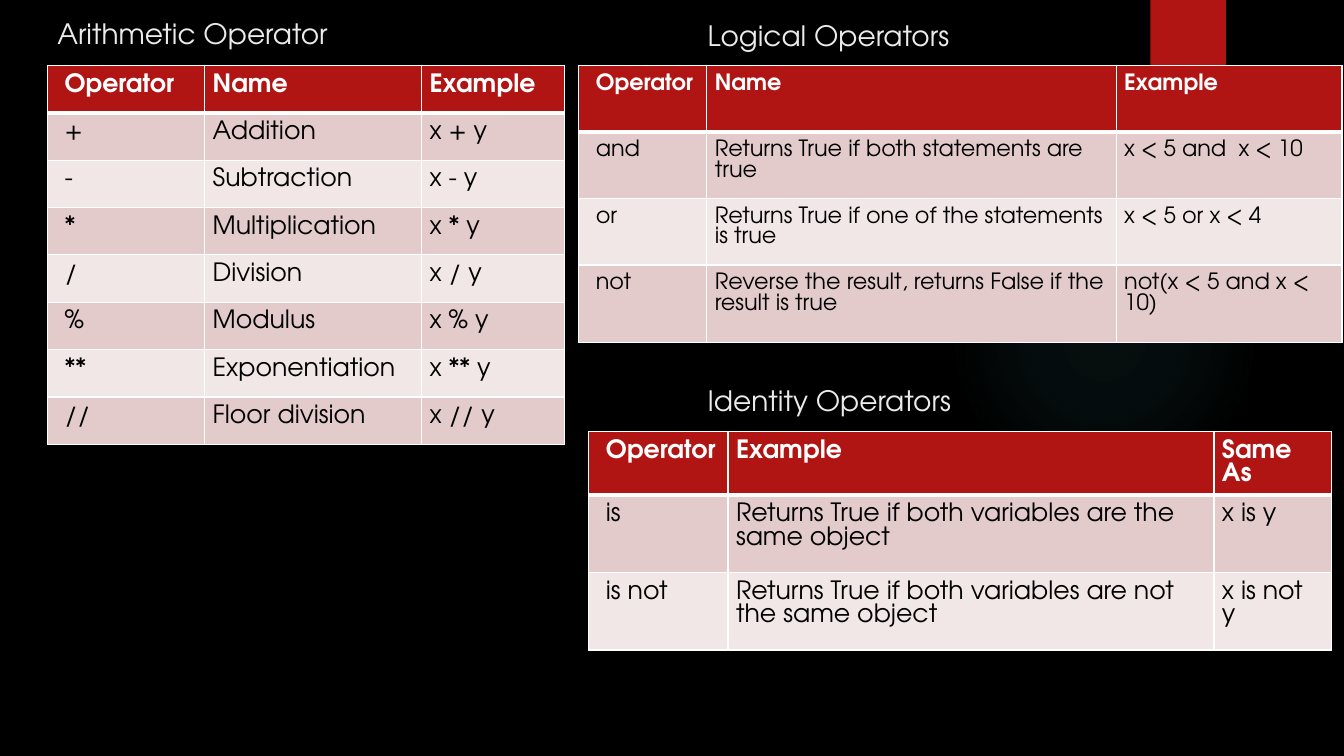
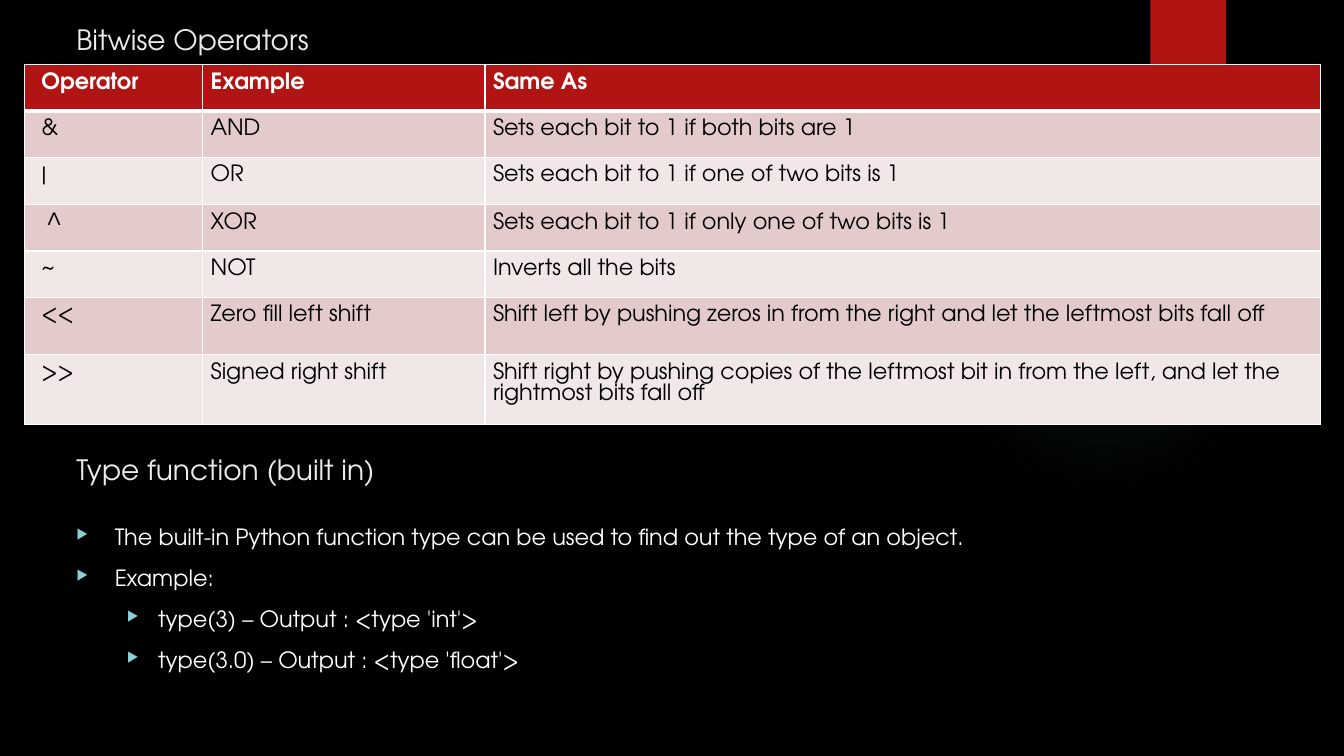
from dataclasses import dataclass

from pptx import Presentation
from pptx.dml.color import RGBColor
from pptx.enum.shapes import MSO_SHAPE as Kind
from pptx.enum.text import MSO_ANCHOR as Anchor
from pptx.oxml import parse_xml
from pptx.oxml.ns import nsdecls, qn
from pptx.util import Emu, Pt

# Shared look
FONT = "TeX Gyre Adventor"
BLACK, WHITE, RED = "000000", "FFFFFF", "B01513"
PALE, TEAL, MINT = "EBEBEB", "50B9C1", "8ACFD6"
BANDS = ("E3CBCB", "F2E7E7")


def px(count: int) -> Emu:
    """100 px make one inch."""
    return Emu(count * 9144)


def hue(code: str) -> RGBColor:
    return RGBColor.from_string(code)


@dataclass
class Label:
    text: str
    left: int
    top: int
    width: int
    height: int


@dataclass
class Grid:
    left: int
    top: int
    size: int
    cols: list[int]
    rows: list[int]
    cells: list[tuple[str, ...]]


@dataclass
class Point:
    text: str
    indent: int
    hang: int
    level: int = 0


# Slide content
SUMS = Grid(47, 65, 18, [156, 215, 142], [47] * 8, [
    ("Operator", "Name", "Example"),
    ("+", "Addition", "x + y"),
    ("-", "Subtraction", "x - y"),
    ("*", "Multiplication", "x * y"),
    ("/", "Division", "x / y"),
    ("%", "Modulus", "x % y"),
    ("**", "Exponentiation", "x ** y"),
    ("//", "Floor division", "x // y"),
])
LOGIC = Grid(574, 65, 16, [127, 406, 224], [66, 66, 66, 77], [
    ("Operator", "Name", "Example"),
    ("and", "Returns True if both statements are true", "x < 5 and  x < 10"),
    ("or", "Returns True if one of the statements is true", "x < 5 or x < 4"),
    ("not", "Reverse the result, returns False if the result is true",
     "not(x < 5 and x < 10)"),
])
SAME = Grid(584, 428, 18, [138, 482, 117], [63, 77, 77], [
    ("Operator", "Example", "Same As"),
    ("is", "Returns True if both variables are the same object", "x is y"),
    ("is not", "Returns True if both variables are not the same object",
     "x is not y"),
])
BITS = Grid(24, 64, 16, [177, 280, 829], [46, 46, 47, 46, 46, 57, 58], [
    ("Operator", "Example", "Same As"),
    ("&", "AND", "Sets each bit to 1 if both bits are 1"),
    ("|", "OR", "Sets each bit to 1 if one of two bits is 1"),
    (" ^", "XOR", "Sets each bit to 1 if only one of two bits is 1"),
    ("~", "NOT", "Inverts all the bits"),
    ("<<", "Zero fill left shift",
     "Shift left by pushing zeros in from the right and let the leftmost "
     "bits fall off"),
    (">>", "Signed right shift",
     "Shift right by pushing copies of the leftmost bit in from the left, "
     "and let the rightmost bits fall off"),
])
POINTS = [
    Point("The built-in Python function type can be used to find out the "
          "type of an object.", 38, 38),
    Point("Example:", 38, 38),
    Point("type(3) – Output : <type 'int'>", 81, 31, 1),
    Point("type(3.0) – Output : <type 'float'>", 81, 31, 1),
]
PAGES = [
    ([Label("Arithmetic Operator", 47, 11, 320, 46),
      Label("Logical Operators", 692, 13, 274, 52),
      Label("Identity Operators", 692, 376, 276, 42)],
     [SUMS, LOGIC, SAME], []),
    ([Label("Bitwise Operators", 66, 17, 257, 46),
      Label("Type function (built in)", 66, 444, 321, 49)],
     [BITS], POINTS),
]


# Text
def write(para, text: str, size: int, color: str, bold: bool = False) -> None:
    run = para.add_run()
    run.text = text
    style = {"name": FONT, "size": Pt(size), "bold": bold}
    for key, value in style.items():
        setattr(run.font, key, value)
    run.font.color.rgb = hue(color)


def frame(slide, left: int, top: int, width: int, height: int):
    box = slide.shapes.add_textbox(px(left), px(top), px(width), px(height))
    style = {"word_wrap": True, "vertical_anchor": Anchor.TOP}
    for key, value in style.items():
        setattr(box.text_frame, key, value)
    return box.text_frame


def title(slide, label: Label) -> None:
    body = frame(slide, label.left, label.top, label.width, label.height)
    write(body.paragraphs[0], label.text, 20, PALE)


def bullets(slide, points: list[Point]) -> None:
    body = frame(slide, 66, 514, 978, 165)
    for num, point in enumerate(points):
        para = body.add_paragraph() if num else body.paragraphs[0]
        para.level = point.level
        para.space_before = Pt(10 if num else 0)
        write(para, point.text, 16, WHITE)
        props = para._p.get_or_add_pPr()
        props.set("marL", str(px(point.indent)))
        props.set("indent", str(-px(point.hang)))
        for part in (f'<a:buClr {nsdecls("a")}><a:srgbClr val="{MINT}"/></a:buClr>',
                     f'<a:buSzPct {nsdecls("a")} val="60000"/>',
                     f'<a:buChar {nsdecls("a")} char="▶"/>'):
            props.append(parse_xml(part))


# Tables
def border(cell, row: int) -> None:
    props = cell._tc.get_or_add_tcPr()
    widths = {"L": 1, "R": 1, "T": 3 if row == 1 else 1, "B": 1 if row else 3}
    for spot, (side, width) in enumerate(widths.items()):
        props.insert(spot, parse_xml(
            f'<a:ln{side} {nsdecls("a")} w="{Pt(width)}"><a:solidFill>'
            f'<a:srgbClr val="{WHITE}"/></a:solidFill></a:ln{side}>'))


def table(slide, grid: Grid) -> None:
    item = slide.shapes.add_table(
        len(grid.rows), len(grid.cols), px(grid.left), px(grid.top),
        px(sum(grid.cols)), px(sum(grid.rows))).table
    for col, width in zip(item.columns, grid.cols):
        col.width = px(width)
    for line, height in zip(item.rows, grid.rows):
        line.height = px(height)
    for row, texts in enumerate(grid.cells):
        for col, text in enumerate(texts):
            cell = item.cell(row, col)
            style = {"margin_left": px(8 if col else 17), "margin_top": px(8),
                     "margin_right": px(9), "margin_bottom": px(8)}
            for key, value in style.items():
                setattr(cell, key, value)
            cell.fill.solid()
            cell.fill.fore_color.rgb = hue(BANDS[(row - 1) % 2] if row else RED)
            border(cell, row)
            write(cell.text_frame.paragraphs[0], text, grid.size,
                  BLACK if row else WHITE, not row)


# Backdrop: soft glow and red tab
def shape(slide, kind: Kind, left: int, top: int, width: int, height: int):
    item = slide.shapes.add_shape(kind, px(left), px(top), px(width), px(height))
    item.shadow.inherit = False
    item.line.fill.background()
    return item


def decor(slide) -> None:
    glow = shape(slide, Kind.OVAL, 941, 183, 308, 308)
    glow.fill.background()
    stops = "".join(
        f'<a:gs pos="{pos}000"><a:srgbClr val="{TEAL}">'
        f'<a:alpha val="{alpha}000"/></a:srgbClr></a:gs>'
        for pos, alpha in ((0, 7), (36, 6), (69, 0)))
    props = glow.element.spPr
    props.replace(props.find(qn("a:noFill")), parse_xml(
        f'<a:gradFill {nsdecls("a")}><a:gsLst>{stops}</a:gsLst>'
        '<a:path path="circle"><a:fillToRect l="50000" t="50000" r="50000" '
        'b="50000"/></a:path></a:gradFill>'))

    tab = shape(slide, Kind.RECTANGLE, 1141, 0, 75, 125)
    tab.fill.solid()
    tab.fill.fore_color.rgb = hue(RED)
    tab.element.spPr.find(qn("a:effectLst")).append(parse_xml(
        f'<a:outerShdw {nsdecls("a")} blurRad="{Pt(3)}" dist="{Pt(2)}" '
        f'dir="5400000"><a:srgbClr val="{BLACK}"><a:alpha val="45000"/>'
        '</a:srgbClr></a:outerShdw>'))


def main() -> None:
    deck = Presentation()
    deck.slide_width, deck.slide_height = px(1333), px(750)
    back = deck.slide_master.background.fill
    back.solid()
    back.fore_color.rgb = hue(BLACK)
    for labels, grids, points in PAGES:
        slide = deck.slides.add_slide(deck.slide_layouts[6])
        decor(slide)
        for grid in grids:
            table(slide, grid)
        for label in labels:
            title(slide, label)
        if points:
            bullets(slide, points)
    deck.save("out.pptx")


if __name__ == "__main__":
    main()
